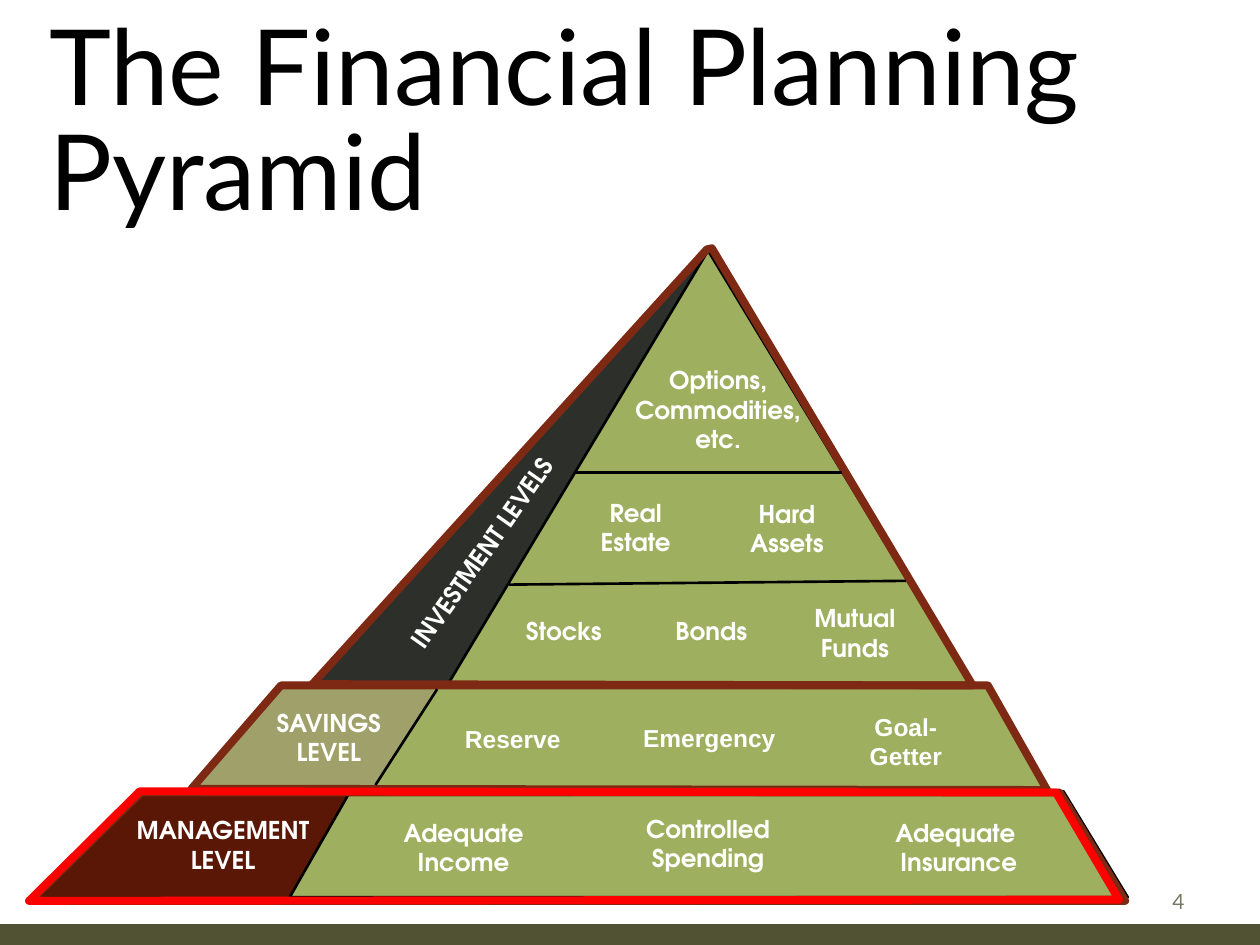
from lxml.etree import SubElement
from pptx import Presentation
from pptx.dml.color import RGBColor
from pptx.enum.shapes import MSO_CONNECTOR
from pptx.enum.text import MSO_ANCHOR, PP_ALIGN
from pptx.oxml.ns import qn
from pptx.util import Inches, Pt

THEME = {
    "black": "000000", "white": "FFFFFF", "red": "FF0000", "brown": "7E2913",
    "maroon": "5A1705", "charcoal": "2D2F2B", "green": "9EB060",
    "khaki": "A0A16A", "olive": "515234", "taupe": "8E887C", "gray": "787863",
    "title_size": 60, "label_size": 14, "number_size": 12,
    "thin": 1.5, "thick": 4.5,
    "title_font": "Lato", "label_font": "TeX Gyre Adventor", "savings_font": "Arial",
}

TITLE = "The Financial Planning Pyramid"
SLIDE_NUMBER = "4"

# points, fill, line colour
FACES = [
    ([(1.15, 6.28), (2.83, 6.28), (2.32, 7.13), (0.28, 7.13)], "maroon", "black"),
    ([(5.6, 1.98), (5.64, 1.98), (3.59, 5.44), (2.46, 5.44)], "charcoal", None),
    ([(2.3, 7.12), (2.78, 6.28), (2.93, 6.28), (3.44, 5.44), (3.55, 5.44),
      (5.62, 1.99), (7.71, 5.44), (7.82, 5.44), (8.31, 6.28), (8.44, 6.28),
      (8.95, 7.12)], "green", "black"),
    ([(2.23, 5.45), (3.49, 5.45), (2.96, 6.28), (1.5, 6.28)], "khaki", None),
]
OUTLINES = [
    ([(0.24, 7.15), (8.93, 7.15), (8.41, 6.29), (1.12, 6.29)], "brown"),
    ([(1.52, 6.26), (8.31, 6.27), (7.84, 5.44), (2.23, 5.44)], "brown"),
    ([(2.48, 5.43), (7.72, 5.44), (5.65, 1.97), (5.61, 1.98)], "brown"),
    ([(0.23, 7.15), (1.11, 6.28), (8.38, 6.29), (8.88, 7.14)], "red"),
]
DIVIDERS = [
    ((3.47, 5.47), (2.98, 6.23)),
    ((4.57, 3.75), (6.68, 3.75)),
    ((4.04, 4.64), (7.19, 4.61)),
]
FOOTER_BANDS = [(7.43, "taupe", 10), (7.42, "olive", 12)]

# font, box width, [(paragraphs, left, top, height)]
LABEL_GROUPS = [
    ("label_font", 1.66, [
        (["Options, Commodities, etc."], 4.87, 2.85, 0.81),
        (["Controlled Spending"], 4.79, 6.41, 0.57),
        (["Adequate", "Income"], 2.85, 6.44, 0.57),
        (["Adequate ", "Insurance"], 6.78, 6.44, 0.57),
        (["SAVINGS", "LEVEL"], 1.78, 5.57, 0.57),
        (["MANAGEMENT", "LEVEL"], 0.94, 6.42, 0.57),
    ]),
    ("savings_font", 1.66, [
        (["Goal-", "Getter"], 6.36, 5.6, 0.57),
        (["Emergency"], 4.8, 5.69, 0.33),
        (["Reserve"], 3.24, 5.7, 0.33),
    ]),
    ("label_font", 1.35, [
        (["Stocks"], 3.8, 4.84, 0.33),
        (["Bonds"], 4.97, 4.84, 0.33),
        (["Mutual", "Funds"], 6.11, 4.74, 0.57),
        (["Real", "Estate"], 4.37, 3.9, 0.57),
        (["Hard", "Assets"], 5.57, 3.91, 0.57),
    ]),
]


def color(name):
    return RGBColor.from_string(THEME[name])


def add_text(slide, paragraphs, box, *, font="label_font", size="label_size",
             ink="white", bold=False, align=PP_ALIGN.CENTER, anchor=MSO_ANCHOR.TOP,
             rotation=0, inset=None, line_spacing=None):
    label = slide.shapes.add_textbox(*map(Inches, box))
    label.rotation = rotation
    frame = label.text_frame
    frame.word_wrap = True
    frame.vertical_anchor = anchor
    if inset is not None:
        frame.margin_left = frame.margin_right = Inches(inset)
        frame.margin_top = frame.margin_bottom = Inches(inset)
    for index, text in enumerate(paragraphs):
        paragraph = frame.add_paragraph() if index else frame.paragraphs[0]
        paragraph.alignment = align
        if line_spacing:
            paragraph.line_spacing = Pt(line_spacing)
        run = paragraph.add_run()
        run.text = text
        run.font.name = THEME[font]
        run.font.size = Pt(THEME[size])
        run.font.bold = bold
        run.font.color.rgb = color(ink)


def add_polygon(slide, points, fill=None, line=None, width=THEME["thin"]):
    corners = [(Inches(x), Inches(y)) for x, y in points]
    builder = slide.shapes.build_freeform(*corners[0])
    builder.add_line_segments(corners[1:], close=True)
    polygon = builder.convert_to_shape()
    polygon.shadow.inherit = False
    if fill:
        polygon.fill.solid()
        polygon.fill.fore_color.rgb = color(fill)
    else:
        polygon.fill.background()
    if line:
        polygon.line.color.rgb = color(line)
        polygon.line.width = Pt(width)
    else:
        polygon.line.fill.background()


def add_line(slide, start, end, ink="black", width=THEME["thin"]):
    line = slide.shapes.add_connector(
        MSO_CONNECTOR.STRAIGHT, *map(Inches, (*start, *end)))
    line.line.color.rgb = color(ink)
    line.line.width = Pt(width)
    SubElement(line._element.spPr, qn("a:effectLst"))


def main():
    deck = Presentation()
    deck.slide_width, deck.slide_height = Inches(10), Inches(7.5)
    slide = deck.slides.add_slide(deck.slide_layouts[6])

    for y, ink, width in FOOTER_BANDS:
        add_line(slide, (0, y), (10, y), ink, width)
    add_text(slide, [TITLE], (0.39, 0.17, 9.5, 1.38), font="title_font",
             size="title_size", ink="black", align=PP_ALIGN.LEFT, inset=0,
             line_spacing=THEME["title_size"])
    add_text(slide, [SLIDE_NUMBER], (7.17, 6.95, 2.33, 0.4), font="title_font",
             size="number_size", ink="gray", align=PP_ALIGN.RIGHT,
             anchor=MSO_ANCHOR.MIDDLE)

    for points, fill, line in FACES:
        add_polygon(slide, points, fill, line)
    for font, width, labels in LABEL_GROUPS:
        for paragraphs, left, top, height in labels:
            add_text(slide, paragraphs, (left, top, width, height), font=font, bold=True)
    add_text(slide, ["INVESTMENT LEVELS"], (2.57, 4.22, 2.51, 0.33),
             bold=True, rotation=305.2)
    for points, ink in OUTLINES:
        add_polygon(slide, points, line=ink, width=THEME["thick"])
    for start, end in DIVIDERS:
        add_line(slide, start, end)

    deck.save("out.pptx")


if __name__ == "__main__":
    main()
